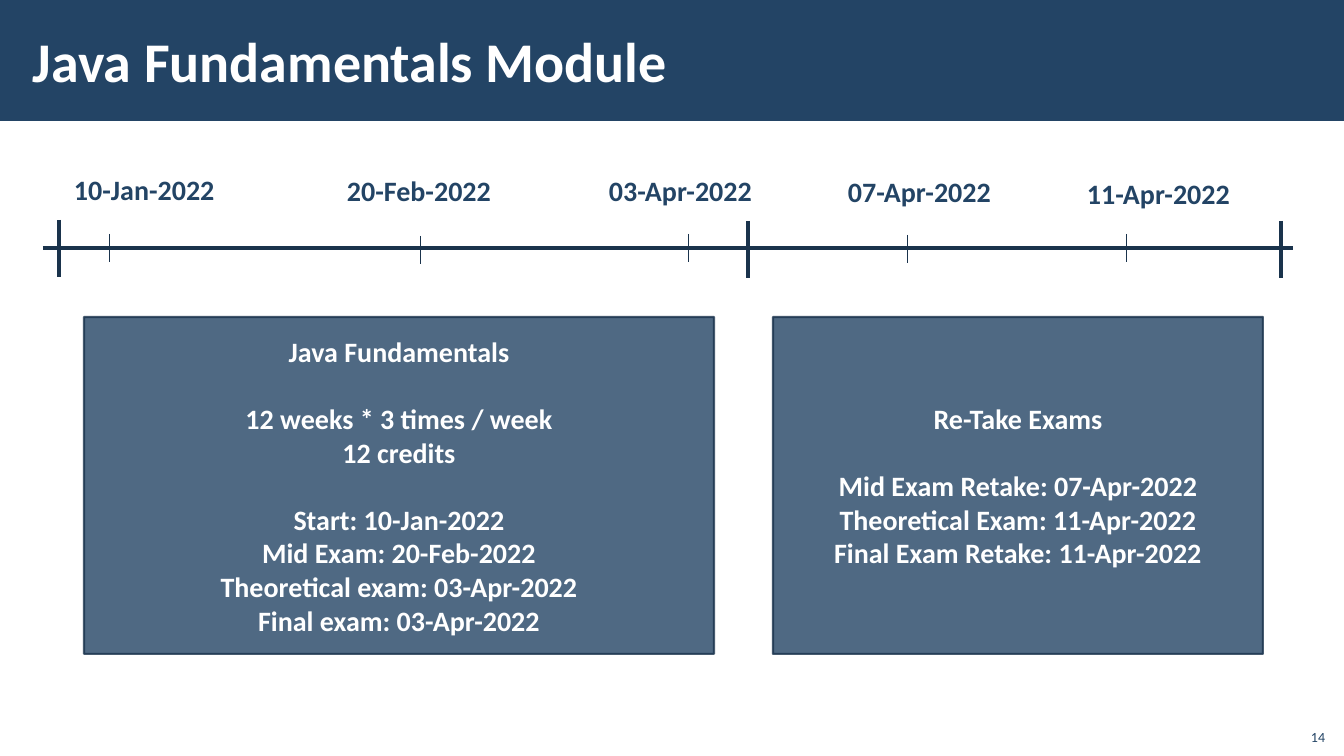
"""Build the Java Fundamentals Module timeline slide."""
from lxml import etree
from pptx import Presentation
from pptx.dml.color import RGBColor
from pptx.enum.shapes import MSO_CONNECTOR, MSO_SHAPE
from pptx.enum.text import MSO_ANCHOR, PP_ALIGN
from pptx.oxml.ns import qn
from pptx.util import Emu, Pt

COLORS = {"navy": "234465", "line": "1A334C", "white": "FFFFFF"}
FONT = "Calibri"
SLIDE = (1344, 756)
BANNER = (0, 0, 1344, 121)
TITLE = ("Java Fundamentals Module", (21, 11, 1072, 98))
NUMBER = ("14", (1295, 718, 40, 32))

AXIS = (43, 1293, 248)
PHASE_TICKS = [(59, 220), (748, 221), (1281, 221)]
DATE_TICKS = [(109, 234), (420, 236), (688, 234), (907, 235), (1126, 234)]
PHASE_TICK, DATE_TICK = 57, 28
DATES = [
    ("10-Jan-2022", 64, 168),
    ("20-Feb-2022", 337, 169),
    ("03-Apr-2022", 599, 169),
    ("07-Apr-2022", 838, 170),
    ("11-Apr-2022", 1077, 172),
]
DATE_SIZE = (166, 44)

PANEL_TOP, PANEL_HEIGHT = 317, 337
PANELS = [
    (84, 630, [
        ["Java Fundamentals"],
        ["12 weeks * 3 times / week", "12 credits"],
        ["Start: 10-Jan-2022", "Mid Exam: 20-Feb-2022",
         "Theoretical exam: 03-Apr-2022", "Final exam: 03-Apr-2022"],
    ]),
    (773, 490, [
        ["Re-Take Exams"],
        ["Mid Exam Retake: 07-Apr-2022", "Theoretical Exam: 11-Apr-2022",
         "Final Exam Retake: 11-Apr-2022"],
    ]),
]
GROUP_GAP = Pt(24)
OPACITY = 80


def px(n):
    return Emu(round(n * 914400 / 100.8))


def rgb(name):
    return RGBColor.from_string(COLORS[name])


def set_font(p, size, color, bold=True):
    p.font.name = FONT
    p.font.size = Pt(size)
    p.font.bold = bold
    p.font.color.rgb = rgb(color)


def add_text(slide, text, box, size, color, bold=True, wrap=True,
             anchor=MSO_ANCHOR.TOP, align=PP_ALIGN.LEFT):
    tf = slide.shapes.add_textbox(*map(px, box)).text_frame
    tf.word_wrap = wrap
    tf.vertical_anchor = anchor
    p = tf.paragraphs[0]
    p.text = text
    p.alignment = align
    set_font(p, size, color, bold)
    return tf


def add_rect(slide, box):
    s = slide.shapes.add_shape(MSO_SHAPE.RECTANGLE, *map(px, box))
    s.shadow.inherit = False
    s.fill.solid()
    s.fill.fore_color.rgb = rgb("navy")
    return s


def add_line(slide, x1, y1, x2, y2, width):
    c = slide.shapes.add_connector(MSO_CONNECTOR.STRAIGHT, *map(px, (x1, y1, x2, y2)))
    c.line.color.rgb = rgb("line")
    c.line.width = Pt(width)
    etree.SubElement(c._element.spPr, qn("a:effectLst"))


def add_panel(slide, left, width, groups):
    s = add_rect(slide, (left, PANEL_TOP, width, PANEL_HEIGHT))
    s.line.color.rgb = rgb("line")
    s.line.width = Pt(1.5)
    for color in s._element.spPr.iter(qn("a:srgbClr")):
        etree.SubElement(color, qn("a:alpha"), val=str(OPACITY * 1000))
    tf = s.text_frame
    tf.word_wrap = True
    tf.vertical_anchor = MSO_ANCHOR.MIDDLE
    for g, group in enumerate(groups):
        for i, text in enumerate(group):
            p = tf.add_paragraph() if g or i else tf.paragraphs[0]
            p.text = text
            p.alignment = PP_ALIGN.CENTER
            if g and i == 0:
                p.space_before = GROUP_GAP
            set_font(p, 20, "white")


def main():
    prs = Presentation()
    prs.slide_width, prs.slide_height = map(px, SLIDE)
    slide = prs.slides.add_slide(prs.slide_layouts[6])

    add_rect(slide, BANNER).line.fill.background()
    tf = add_text(slide, *TITLE, 40, "white", anchor=MSO_ANCHOR.MIDDLE)
    tf.margin_left = tf.margin_right = px(12)
    tf.margin_top = tf.margin_bottom = px(4)

    start, end, y = AXIS
    add_line(slide, start, y, end, y, 2.25)
    for ticks, length, width in ((PHASE_TICKS, PHASE_TICK, 2.25),
                                 (DATE_TICKS, DATE_TICK, 0.5)):
        for x, top in ticks:
            add_line(slide, x, top, x, top + length, width)
    for date, left, top in DATES:
        add_text(slide, date, (left, top, *DATE_SIZE), 20, "navy", wrap=False)

    for panel in PANELS:
        add_panel(slide, *panel)
    add_text(slide, *NUMBER, 10, "navy", bold=False,
             anchor=MSO_ANCHOR.BOTTOM, align=PP_ALIGN.RIGHT)
    prs.save("out.pptx")


if __name__ == "__main__":
    main()
